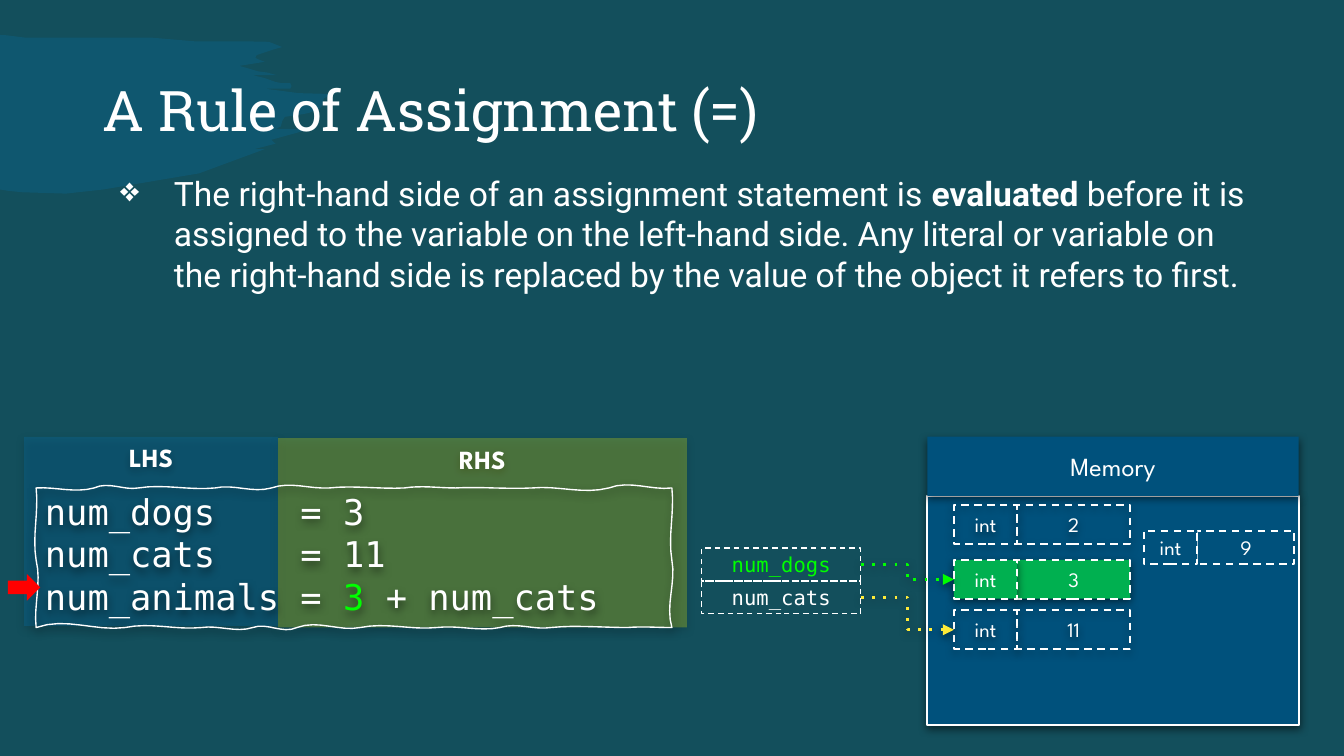
"""Build the slide that explains how Python evaluates an assignment."""
import pptx
import pptx.dml.color
import pptx.enum.dml
import pptx.enum.shapes
import pptx.enum.text
import pptx.oxml
import pptx.oxml.ns
import pptx.util

Pt = pptx.util.Pt
SHAPE = pptx.enum.shapes.MSO_SHAPE
ALIGN = pptx.enum.text.PP_ALIGN
ANCHOR = pptx.enum.text.MSO_ANCHOR
DASH = pptx.enum.dml.MSO_LINE.DASH
NS = pptx.oxml.ns.nsdecls("a")
SHADOW = (f'<a:outerShdw {NS} blurRad="57150" dist="19050" dir="5400000" algn="bl" rotWithShape="0">'
          '<a:srgbClr val="000000"><a:alpha val="50000"/></a:srgbClr></a:outerShdw>')
MONO, LABEL = "DejaVu Sans Mono", "League Spartan"
WHITE, GREEN, NAVY = "FFFFFF", "00FF00", "00517C"


def paint(shape, fill=None, line=None, width=1, dash=None, opacity=100):
    """Set fill, outline and opacity from hex colours, without a shadow."""
    shape.shadow.inherit = False
    if fill:
        shape.fill.solid()
        shape.fill.fore_color.rgb = pptx.dml.color.RGBColor.from_string(fill)
        if opacity < 100:
            tint = shape._element.spPr.xpath("./a:solidFill/a:srgbClr")[0]
            tint.append(pptx.oxml.parse_xml(f'<a:alpha {NS} val="{opacity * 1000}"/>'))
    else:
        shape.fill.background()
    if line:
        shape.line.color.rgb = pptx.dml.color.RGBColor.from_string(line)
        shape.line.width = Pt(width)
        if dash:
            shape.line.dash_style = dash
    else:
        shape.line.fill.background()


def write(shape, text, size=11, font=LABEL, color=WHITE, bold=False, align=ALIGN.CENTER,
          anchor=ANCHOR.MIDDLE, wrap=True, new_line=False):
    """Add a formatted run to the last paragraph of a shape, or to a new one."""
    frame = shape.text_frame
    frame.word_wrap = wrap
    frame.vertical_anchor = anchor
    frame.margin_left = frame.margin_right = Pt(5.4)
    frame.margin_top = frame.margin_bottom = Pt(2.7)
    paragraph = frame.add_paragraph() if new_line else frame.paragraphs[-1]
    paragraph.alignment = align
    run = paragraph.add_run()
    run.text = text
    run.font.size, run.font.name, run.font.bold = Pt(size), font, bold
    run.font.color.rgb = pptx.dml.color.RGBColor.from_string(color)
    return run


deck = pptx.Presentation()
deck.slide_width, deck.slide_height = Pt(720), Pt(405)
slide = deck.slides.add_slide(deck.slide_layouts[5])
slide.background.fill.solid()
slide.background.fill.fore_color.rgb = pptx.dml.color.RGBColor.from_string("134F5C")
shapes = slide.shapes
shadowed = []

brush_points = [
    (0, 18.7), (3.6, 18.9), (13.7, 20.2), (36, 20.2), (54.7, 20.2), (81.4, 20.2), (105, 22.2),
    (134, 22.2), (144, 22.4), (151.2, 25.2), (146.2, 26.6), (137.5, 29.5), (136.8, 31),
    (138.2, 31.7), (141.8, 33.1), (128.2, 35.3), (133.2, 36.7), (138.2, 38.2), (143.3, 38.9),
    (148.3, 40.3), (135.4, 40.3), (141.8, 41.8), (147.6, 43.9), (151.2, 44.6), (155.5, 44.6),
    (156.2, 46.1), (155.5, 47.5), (153.4, 47.5), (141.8, 47.5), (160, 49.9), (178.6, 50.4),
    (173.5, 52.6), (172.1, 57.6), (165.6, 60.5), (162, 61.2), (152.6, 62.6), (151.2, 64.8),
    (150.5, 67.7), (147.6, 69.1), (166.3, 69.1), (145.4, 74.9), (147.6, 77), (136.1, 79.9),
    (141.8, 79.9), (106.6, 92.9), (55.4, 101.5), (35.3, 103.7), (12.2, 103), (4.3, 102.2), (0, 101.5)]
brush_builder = shapes.build_freeform(0, Pt(brush_points[0][1]))
brush_builder.add_line_segments([(Pt(x), Pt(y)) for x, y in brush_points[1:]])
paint(brush_builder.convert_to_shape(), "0277BD", opacity=20)

for side, x, y, width, color in [("LHS", 13, 234, 136, "0277BD"), ("RHS", 149, 234.7, 219, "FFFF00")]:
    panel = shapes.add_shape(SHAPE.RECTANGLE, Pt(x), Pt(y), Pt(width), Pt(101.4))
    paint(panel, color, opacity=24)
    write(panel, side, size=14, bold=True, anchor=ANCHOR.TOP)
    shadowed.append(panel)

left, top, right, bottom = 19.4, 261.4, 360, 336.2
waves = [
    (50.4, top, -0.7, 2.9), (74.2, top, -3.6, 1.4), (115.2, top, -2.2, 1.4), (145.4, top, -2.2, 2.9),
    (176.4, top, -3.6, 0.7), (216.7, top, -1.4, 0.7), (244.1, top, -1.4, 0), (285.1, top, -0.7, 0.7),
    (326.2, top, -1.4, 3.6), (right, top, -4.3, 1.4), (right, 300.2, 1.4, -2.2),
    (right, bottom, 2.2, -3.6), (336.2, bottom, 0, -0.7), (295.2, bottom, 0, -1.4),
    (267.8, bottom, 1.4, -2.9), (234, bottom, 2.2, -1.4), (193, bottom, 1.4, -2.9),
    (159.1, bottom, 2.2, -4.3), (135.4, bottom, 3.6, -2.9), (108, bottom, 2.9, -1.4),
    (67, bottom, 1.4, -2.9), (left, bottom, 2.2, -5.8), (left, 300.2, -1.4, 2.9), (left, top, -2.2, 1.4)]
frame_points = []
start_x, start_y = left, top
for end_x, end_y, first_pull, second_pull in waves:
    for step in range(1, 9):
        t = step / 8
        bend = 3 * t * (1 - t) * ((1 - t) * first_pull + t * second_pull)
        x, y = start_x + t * (end_x - start_x), start_y + t * (end_y - start_y)
        frame_points.append((Pt(x + bend), Pt(y)) if start_x == end_x else (Pt(x), Pt(y + bend)))
    start_x, start_y = end_x, end_y
code_builder = shapes.build_freeform(Pt(left), Pt(top))
code_builder.add_line_segments(frame_points)
code = code_builder.convert_to_shape()
paint(code, line=WHITE, width=0.75)
shadowed.append(code)
for text, color, new_line in [("num_dogs    = 3", WHITE, False), ("num_cats    = 11", WHITE, True),
                              ("num_animals = ", WHITE, True), ("3 ", GREEN, False),
                              ("+ num_cats", WHITE, False)]:
    write(code, text, size=19, font=MONO, color=color, align=ALIGN.LEFT, anchor=ANCHOR.TOP,
          wrap=False, new_line=new_line)

current_line = shapes.add_shape(SHAPE.RIGHT_ARROW, Pt(4.3), Pt(307.5), Pt(17.3), Pt(14.4))
paint(current_line, "FF0000")

title = shapes.title
title.left, title.top, title.width, title.height = Pt(49.7), Pt(21.6), Pt(620.6), Pt(78.5)
heading = write(title, "A Rule of Assignment (=)", size=30, font="Roboto Slab", align=ALIGN.LEFT)
title.text_frame.paragraphs[0].line_spacing = 0.9
heading.font._element.find(pptx.oxml.ns.qn("a:solidFill")).addnext(
    pptx.oxml.parse_xml(f"<a:effectLst {NS}>{SHADOW}</a:effectLst>"))
shapes._spTree.append(title._element)

rule = shapes.add_textbox(Pt(51.8), Pt(90), Pt(620.6), Pt(132.5))
for text, bold in [("The right-hand side of an assignment statement is ", False), ("evaluated ", True),
                   ("before it is assigned to the variable on the left-hand side. Any literal or variable on "
                    "the right-hand side is replaced by the value of the object it refers to first.", False)]:
    write(rule, text, size=18, font="Roboto", bold=bold, align=ALIGN.LEFT, anchor=ANCHOR.TOP)
rule.text_frame.paragraphs[0].space_before = Pt(8)
bullet = rule.text_frame.paragraphs[0]._p.get_or_add_pPr()
bullet.set("marL", str(Pt(36)))
bullet.set("indent", str(Pt(-28.8)))
bullet.append(pptx.oxml.parse_xml(f'<a:buClr {NS}><a:srgbClr val="{WHITE}"/></a:buClr>'))
bullet.append(pptx.oxml.parse_xml(f'<a:buChar {NS} char="❖"/>'))

memory = shapes.add_shape(SHAPE.RECTANGLE, Pt(496.8), Pt(265.7), Pt(199), Pt(122.8))
paint(memory, NAVY, WHITE)
memory_header = shapes.add_shape(SHAPE.RECTANGLE, Pt(496.8), Pt(234), Pt(199), Pt(31.7))
paint(memory_header, NAVY)
write(memory_header, "Memory", size=14)
shadowed += [memory, memory_header]

objects = {}
for value, x, y, type_width, value_width, height, fill in [
        ("3", 511, 300, 34, 60.5, 20.8, "00B050"), ("2", 511, 270.7, 34, 60.5, 20.8, None),
        ("11", 511, 327, 34, 60.5, 20.8, None), ("9", 612.7, 284.4, 28.8, 52, 18, NAVY)]:
    for text, cell_x, width in [(value, x + type_width, value_width), ("int", x, type_width)]:
        cell = shapes.add_shape(SHAPE.RECTANGLE, Pt(cell_x), Pt(y), Pt(width), Pt(height))
        paint(cell, fill, WHITE, dash=DASH)
        write(cell, text)
        if value != "9":
            shadowed.append(cell)
    objects[value] = cell

for name, value, y, name_color, link_color in [("num_dogs", "3", 293.6, GREEN, GREEN),
                                               ("num_cats", "11", 311.2, WHITE, "FFEB38")]:
    variable = shapes.add_shape(SHAPE.RECTANGLE, Pt(376), Pt(y), Pt(85.2), Pt(17.6))
    paint(variable, line=WHITE, width=0.75, dash=DASH)
    write(variable, name, font=MONO, color=name_color)
    reference = shapes.add_connector(pptx.enum.shapes.MSO_CONNECTOR.ELBOW, 0, 0, 0, 0)
    reference.begin_connect(variable, 3)
    reference.end_connect(objects[value], 1)
    reference.line.color.rgb = pptx.dml.color.RGBColor.from_string(link_color)
    reference.line.width = Pt(1.5)
    for part in ('prstDash {} val="dot"', 'tailEnd {} type="triangle"'):
        reference.line._get_or_add_ln().append(pptx.oxml.parse_xml(f"<a:{part.format(NS)}/>"))
    reference._element.spPr.append(pptx.oxml.parse_xml(f"<a:effectLst {NS}/>"))
    shadowed.append(reference)

for shape in shadowed:
    shape._element.spPr.find(pptx.oxml.ns.qn("a:effectLst")).append(pptx.oxml.parse_xml(SHADOW))

deck.save("out.pptx")
